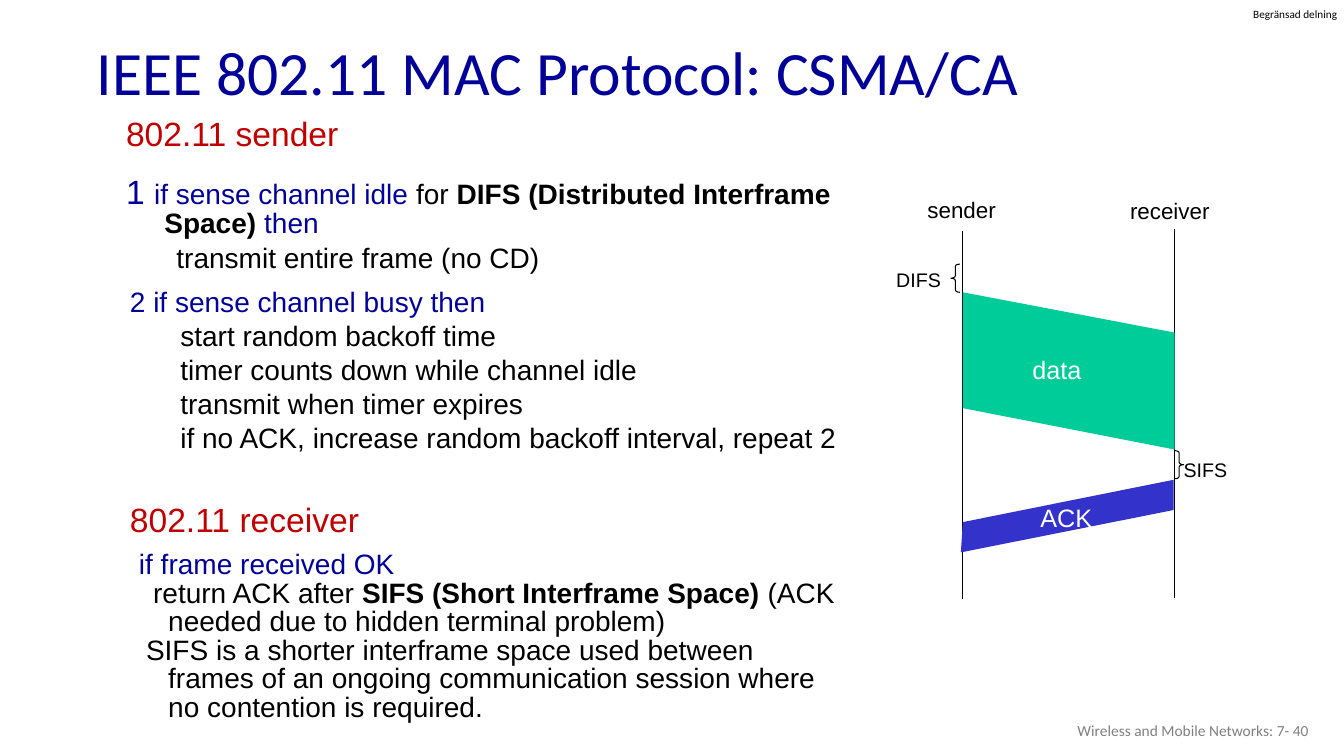
from lxml import etree
from pptx import Presentation
from pptx import util as u
from pptx.dml.color import RGBColor
from pptx.enum import shapes, text
from pptx.oxml.ns import qn

PX = 9144  # EMU per px, 100 px to the inch
BLACK, WHITE, NAVY, RED, GRAY = "000000", "FFFFFF", "000099", "C00000", "808080"
GREEN, BLUE = "00CC99", "3333CC"
SENDER_X, RECEIVER_X = 955, 1165
HEADING_INDENT, STEP_INDENT = (38, -38), (81, -31)


def color(hex_string):
    return RGBColor.from_string(hex_string)


def box(left, top, width, height):
    return [u.Emu(value * PX) for value in (left, top, width, height)]


def place(shape, *bounds):
    shape.left, shape.top, shape.width, shape.height = box(*bounds)


def format_font(font, size, ink, name="Arial", bold=False):
    font.size, font.name, font.bold = u.Pt(size), name, bold
    font.color.rgb = color(ink)


def add_label(slide, bounds, words, size, ink=BLACK, name="Arial", wrap=False):
    shape = slide.shapes.add_textbox(*box(*bounds))
    frame = shape.text_frame
    frame.word_wrap = wrap
    frame.text = words
    format_font(frame.paragraphs[0].runs[0].font, size, ink, name)
    return frame


def fill_list(frame, items):
    """Each item is (level, (margin, indent), space before, space after, runs)."""
    frame.word_wrap = True
    frame.auto_size = text.MSO_AUTO_SIZE.NONE
    for index, (level, (margin, indent), before, after, runs) in enumerate(items):
        paragraph = frame.add_paragraph() if index else frame.paragraphs[0]
        paragraph.level = level
        properties = paragraph._p.get_or_add_pPr()
        properties.set("marL", str(margin * PX))
        properties.set("indent", str(indent * PX))
        etree.SubElement(properties, qn("a:buNone"))
        paragraph.line_spacing = 0.85
        paragraph.space_before = u.Pt(before if index else 0)
        paragraph.space_after = u.Pt(after)
        for words, size, ink, bold in runs:
            run = paragraph.add_run()
            run.text = words
            format_font(run.font, size, ink, bold=bold)


def add_list(slide, bounds, items):
    fill_list(slide.shapes.add_textbox(*box(*bounds)).text_frame, items)


def add_timeline(slide, x, top, bottom):
    line = slide.shapes.add_connector(
        shapes.MSO_CONNECTOR.STRAIGHT, *box(x, top, x, bottom))
    line.line.color.rgb = color(BLACK)
    line.line.width = u.Pt(0.75)
    etree.SubElement(line._element.spPr, qn("a:effectLst"))


def add_brace(slide, kind, left, top):
    brace = slide.shapes.add_shape(kind, *box(left, top, 9, 28))
    brace.adjustments[0], brace.adjustments[1] = 0.25, 0.5
    brace.shadow.inherit = False
    brace.fill.background()
    brace.line.color.rgb = color(BLACK)
    brace.line.width = u.Pt(0.75)


def add_frame_band(slide, points, fill):
    """Draw a transmitted frame as a slanted band between the timelines."""
    builder = slide.shapes.build_freeform(*points[0], scale=PX)
    builder.add_line_segments(points[1:], close=True)
    band = builder.convert_to_shape()
    band.shadow.inherit = False
    band.fill.solid()
    band.fill.fore_color.rgb = color(fill)
    band.line.fill.background()


def add_title(slide):
    title = slide.shapes.title
    place(title, 86, 26, 1150, 98)
    frame = title.text_frame
    frame.text = "IEEE 802.11 MAC Protocol: CSMA/CA"
    frame.vertical_anchor = text.MSO_ANCHOR.MIDDLE
    paragraph = frame.paragraphs[0]
    paragraph.alignment = text.PP_ALIGN.LEFT
    paragraph.line_spacing = 0.9
    format_font(paragraph.runs[0].font, 44, NAVY, "Calibri")


def add_rules(slide):
    body = slide.placeholders[1]
    place(body, 115, 113, 731, 141)
    fill_list(body.text_frame, [
        (0, HEADING_INDENT, 0, 12, [("802.11 sender", 24, RED, False)]),
        (0, HEADING_INDENT, 4.8, 0, [
            ("1 ", 24, NAVY, False),
            ("if sense channel idle", 20, NAVY, False),
            (" for ", 20, BLACK, False),
            ("DIFS (Distributed Interframe Space) ", 20, BLACK, True),
            ("then", 20, NAVY, False)]),
        (1, STEP_INDENT, 4, 0,
         [("transmit entire frame (no CD)", 20, BLACK, False)]),
    ])
    busy_steps = ["start random backoff time",
                  "timer counts down while channel idle",
                  "transmit when timer expires",
                  "if no ACK, increase random backoff interval, repeat 2"]
    add_list(slide, (119, 282, 731, 186), [
        (0, HEADING_INDENT, 0, 0,
         [("2 if sense channel busy then", 20, NAVY, False)]),
        *[(1, STEP_INDENT, 4, 0, [(step, 20, BLACK, False)])
          for step in busy_steps],
    ])
    add_list(slide, (119, 496, 731, 186), [
        (0, HEADING_INDENT, 0, 9, [("802.11 receiver", 24, RED, False)]),
        (0, (38, -29), 0, 0, [("if frame received OK", 20, NAVY, False)]),
        (0, (38, -15), 0, 0, [
            ("return ACK after ", 20, BLACK, False),
            ("SIFS (Short Interframe Space) ", 20, BLACK, True),
            ("(ACK needed due to hidden terminal problem)", 20, BLACK, False)]),
        (0, (38, -22), 0, 0, [
            ("SIFS is a shorter interframe space used between frames of an "
             "ongoing communication session where no contention is required.",
             20, BLACK, False)]),
    ])


def add_timing_diagram(slide):
    add_timeline(slide, SENDER_X, 229, 594)
    add_timeline(slide, RECEIVER_X, 227, 593)
    add_label(slide, (910, 190, 91, 37), "sender", 16)
    add_label(slide, (1111, 191, 100, 37), "receiver", 16)
    add_brace(slide, shapes.MSO_SHAPE.LEFT_BRACE, 943, 262)
    add_label(slide, (879, 261, 65, 34), "DIFS", 14)
    add_frame_band(slide, [(SENDER_X, 290), (RECEIVER_X, 330),
                           (RECEIVER_X, 446), (SENDER_X, 405)], GREEN)
    add_label(slide, (1014, 347, 69, 40), "data", 18, WHITE)
    add_label(slide, (1164, 449, 64, 34), "SIFS", 14)
    add_brace(slide, shapes.MSO_SHAPE.RIGHT_BRACE, RECEIVER_X, 447)
    add_frame_band(slide, [(953, 548), (1164, 506), (1164, 476),
                           (SENDER_X, 518)], BLUE)
    add_label(slide, (1022, 493, 72, 40), "ACK", 18, WHITE)


def add_margin_notes(slide):
    sharing = add_label(slide, (1243, 7, 86, 13), "Begränsad delning", 8,
                        name="Calibri")
    sharing.margin_left = sharing.margin_right = 0
    sharing.margin_top = sharing.margin_bottom = 0
    footer = add_label(slide, (1008, 705, 300, 40),
                       "Wireless and Mobile Networks: 7- 40", 11, GRAY,
                       "Calibri", wrap=True)
    footer.vertical_anchor = text.MSO_ANCHOR.MIDDLE
    footer.paragraphs[0].alignment = text.PP_ALIGN.RIGHT


def main():
    presentation = Presentation()
    presentation.slide_width, presentation.slide_height = box(0, 0, 1333, 750)[2:]
    slide = presentation.slides.add_slide(presentation.slide_layouts[1])
    add_title(slide)
    add_rules(slide)
    add_timing_diagram(slide)
    add_margin_notes(slide)
    presentation.save("out.pptx")


if __name__ == "__main__":
    main()
